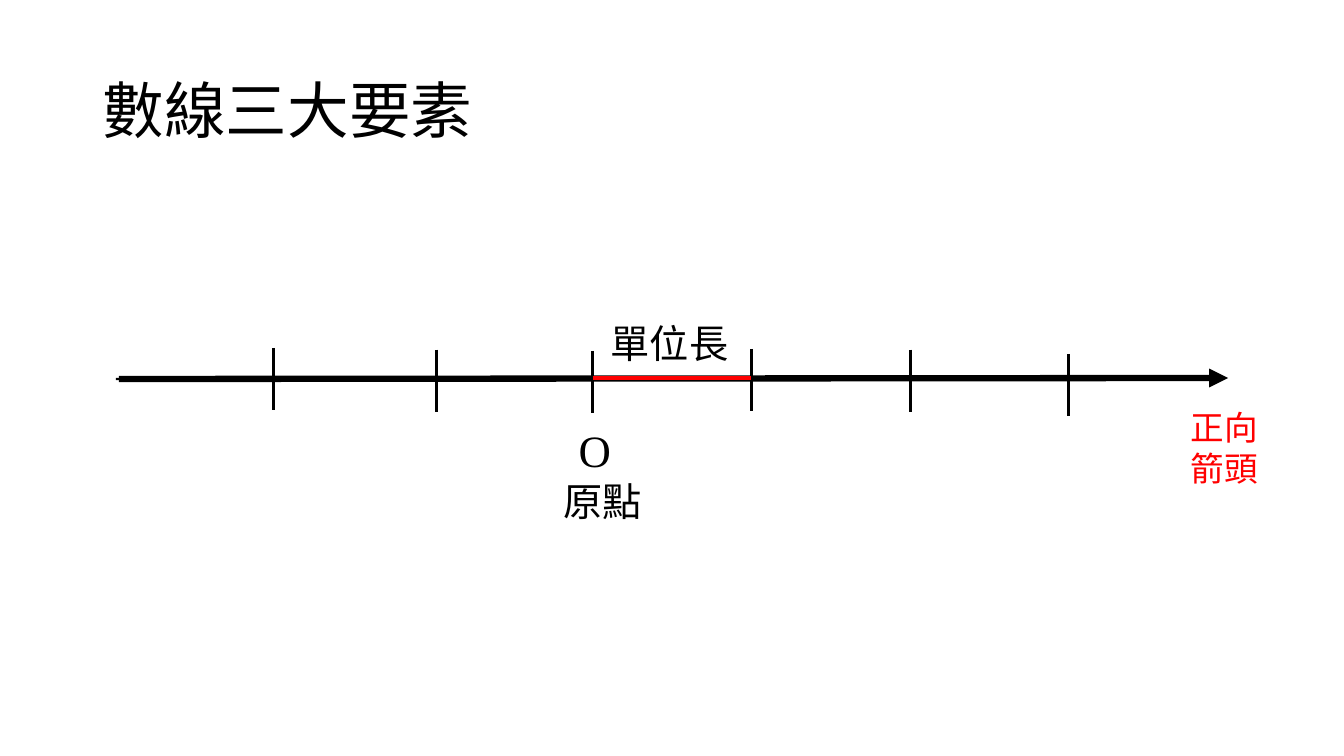
from lxml import etree
from pptx import Presentation
from pptx.dml.color import RGBColor
from pptx.enum.shapes import MSO_CONNECTOR as Connector
from pptx.enum.text import MSO_ANCHOR as Anchor, MSO_AUTO_SIZE as AutoSize
from pptx.oxml.ns import qn
from pptx.util import Inches, Pt

BLACK = RGBColor(0x00, 0x00, 0x00)
RED = RGBColor(0xFF, 0x00, 0x00)
SERIF = "Times New Roman"
SANS = "Noto Sans CJK SC"

TICK_HEIGHT = 0.62
ORIGIN_X, UNIT_X, AXIS_Y = 5.88, 7.45, 3.75
# Tick marks: x, top
TICKS = [(2.71, 3.45), (4.33, 3.47), (ORIGIN_X, 3.48),
         (UNIT_X, 3.46), (9.03, 3.47), (10.6, 3.51)]

# Lines: start, end, colour, width, arrowhead
AXIS_LINES = [
    ((1.18, 3.76), (12.18, AXIS_Y), BLACK, 4.5, True),
    ((1.15, 3.76), (12.02, AXIS_Y), BLACK, 1.5, False),
]
TICK_LINES = [((x, top), (x, top + TICK_HEIGHT), BLACK, 2.25, False)
              for x, top in TICKS]
UNIT_LINE = ((ORIGIN_X, AXIS_Y), (UNIT_X, AXIS_Y), RED, 3, False)

# Labels: text, box (left, top, width, height), font format, frame format
TITLE = ("數線三大要素", (0.92, 0.4, 11.5, 1.45),
         {"size": Pt(44), "name": SERIF}, BLACK,
         {"vertical_anchor": Anchor.MIDDLE, "word_wrap": True})
GROWING = {"auto_size": AutoSize.SHAPE_TO_FIT_TEXT, "word_wrap": True}
LABELS = [
    ("原點", (5.49, 4.69, 0.99, 0.57), {"size": Pt(28), "name": SERIF}, BLACK,
     {**GROWING, "word_wrap": False}),
    ("O", (5.64, 4.14, 0.79, 0.64), {"size": Pt(32), "name": SERIF}, BLACK,
     GROWING),
    ("正向箭頭", (11.71, 3.99, 0.94, 0.91), {"size": Pt(24), "name": SANS}, RED,
     GROWING),
    ("單位長", (5.96, 3.12, 1.5, 0.57), {"size": Pt(28), "name": SERIF}, BLACK,
     GROWING),
]


def set_values(target, values):
    """Set every attribute named in a dict of format values."""
    for name, value in values.items():
        setattr(target, name, value)


def add_line(slide, start, end, colour, width, arrow):
    """Draw a straight line without shadow, optionally with an arrowhead."""
    points = [Inches(value) for value in (*start, *end)]
    connector = slide.shapes.add_connector(Connector.STRAIGHT, *points)
    set_values(connector.line, {"width": Pt(width)})
    connector.line.color.rgb = colour
    if arrow:
        line = connector.line._get_or_add_ln()
        etree.SubElement(line, qn("a:tailEnd"), type="triangle")
    etree.SubElement(connector._element.spPr, qn("a:effectLst"))


def add_label(slide, text, box, font_format, colour, frame_format):
    """Write one text box."""
    shape = slide.shapes.add_textbox(*[Inches(value) for value in box])
    set_values(shape.text_frame, frame_format)
    paragraph = shape.text_frame.paragraphs[0]
    run = paragraph.add_run()
    run.text = text
    set_values(run.font, font_format)
    run.font.color.rgb = colour
    etree.SubElement(run.font._element, qn("a:ea"), typeface=SANS)
    return paragraph


presentation = Presentation()
set_values(presentation, {"slide_width": Inches(13.33),
                          "slide_height": Inches(7.5)})
slide = presentation.slides.add_slide(presentation.slide_layouts[6])

add_label(slide, *TITLE).line_spacing = 0.9
main_axis, thin_axis = AXIS_LINES
for line in [main_axis, *TICK_LINES, thin_axis]:
    add_line(slide, *line)
for label in LABELS:
    add_label(slide, *label)
add_line(slide, *UNIT_LINE)

presentation.save("out.pptx")
